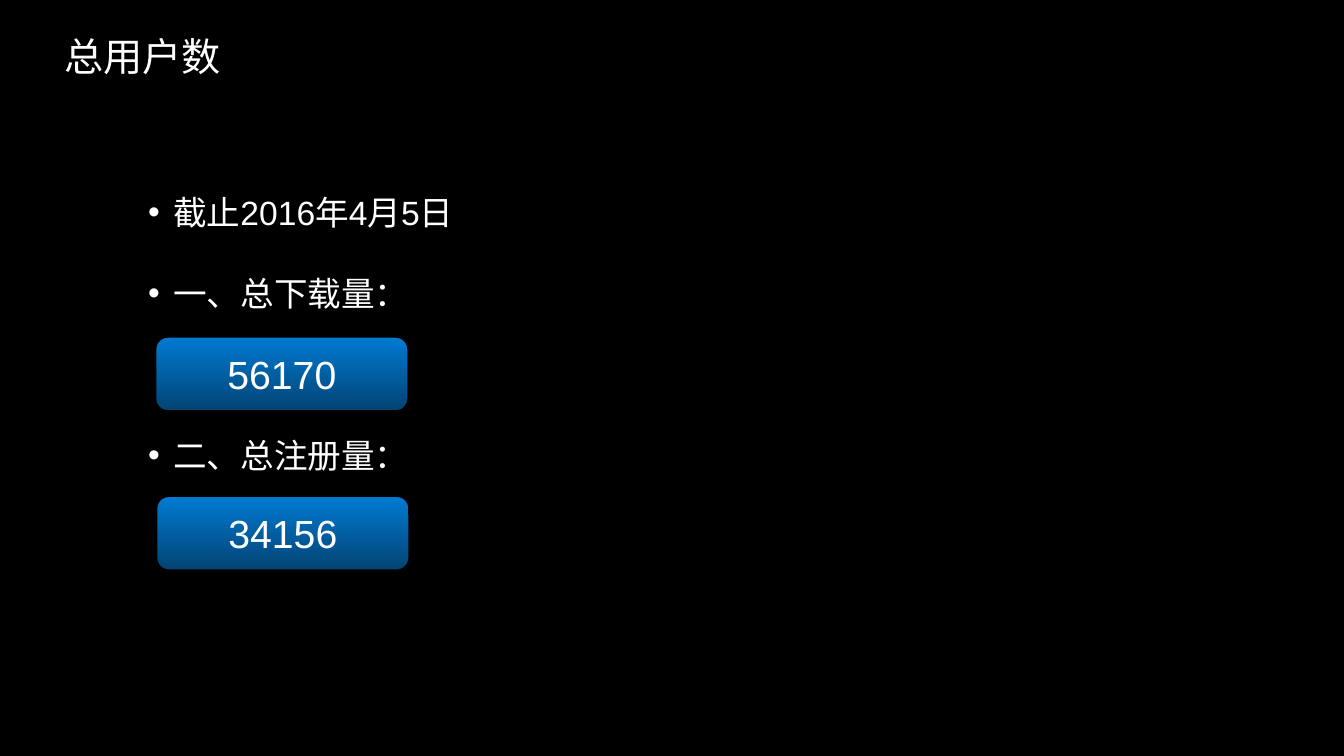
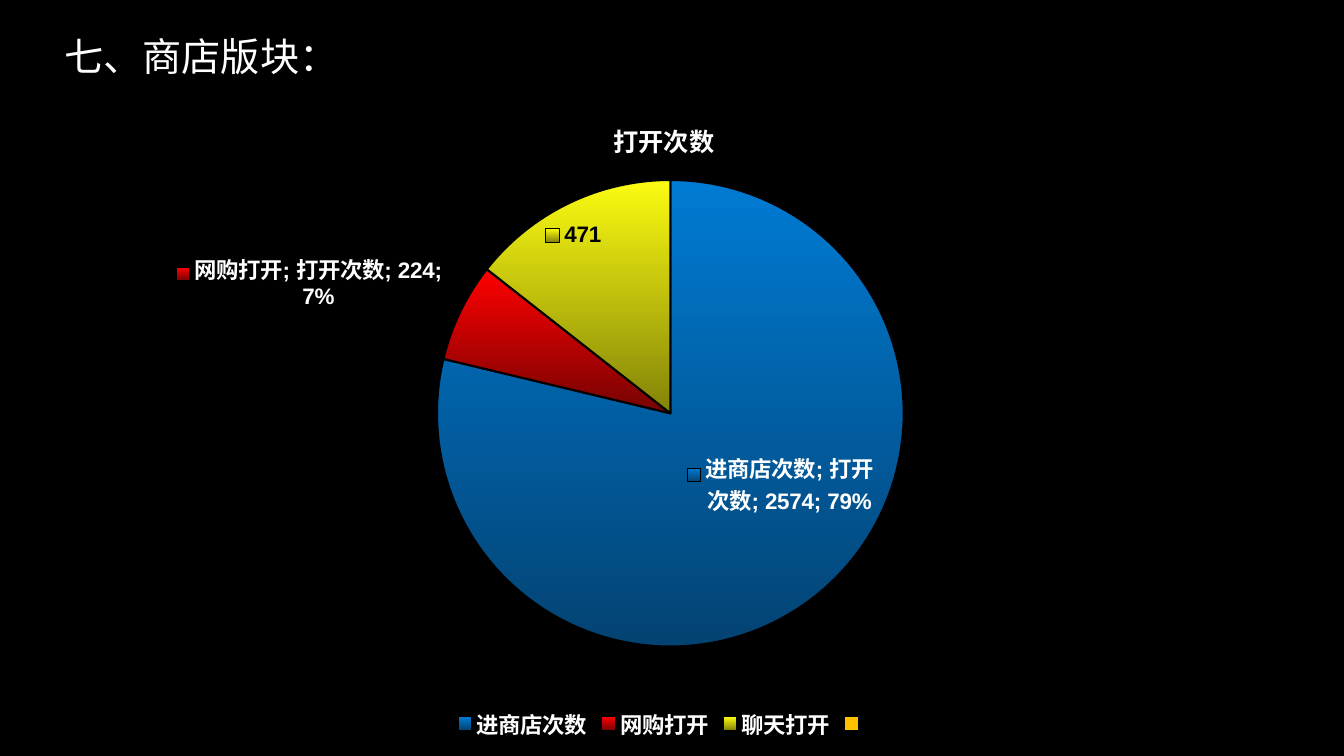
from lxml.etree import SubElement
from pptx import Presentation
from pptx.chart.data import CategoryChartData
from pptx.dml.color import RGBColor
from pptx.enum.chart import XL_CHART_TYPE, XL_LEGEND_POSITION
from pptx.enum.shapes import MSO_SHAPE
from pptx.enum.text import MSO_ANCHOR, PP_ALIGN
from pptx.oxml import parse_xml
from pptx.oxml.ns import nsdecls, qn
from pptx.util import Inches, Pt

BLACK, WHITE, AMBER = "000000", "FFFFFF", "FFC000"
BLUE = ("007BD3", "034373")
RED = ("FF0000", "760303")
YELLOW = ("FBFB11", "838309")


def rgb(value):
    return RGBColor.from_string(value)


def paint(fill, colors):
    if isinstance(colors, str):
        fill.solid()
        fill.fore_color.rgb = rgb(colors)
        return
    fill.gradient()
    fill.gradient_angle = 270
    for stop, color, position in zip(fill.gradient_stops, colors, (0, 1)):
        stop.color.rgb = rgb(color)
        stop.position = position


def outline(line):
    line.color.rgb = rgb(BLACK)
    line.width = Pt(1.5)


def layout_xml(x, y, w=None, h=None):
    target = '<c:layoutTarget val="inner"/>' if w else ""
    modes = '<c:xMode val="edge"/><c:yMode val="edge"/>' if w else ""
    size = f'<c:w val="{w}"/><c:h val="{h}"/>' if w else ""
    return (f'<c:layout {nsdecls("c")}><c:manualLayout>{target}{modes}'
            f'<c:x val="{x}"/><c:y val="{y}"/>{size}</c:manualLayout></c:layout>')


def label_style(color, text=""):
    props = (f'sz="1600" b="1"><a:solidFill><a:srgbClr val="{color}"/></a:solidFill>'
             '<a:latin typeface="Arial"/>')
    if text:
        return (f'<c:tx><c:rich><a:bodyPr/><a:p><a:r><a:rPr {props}</a:rPr>'
                f'<a:t>{text}</a:t></a:r></a:p></c:rich></c:tx>')
    return (f'<c:txPr><a:bodyPr/><a:p><a:pPr><a:defRPr {props}</a:defRPr></a:pPr>'
            '<a:endParaRPr lang="zh-CN"/></a:p></c:txPr>')


def labels_xml(offsets, custom):
    shown = "".join(f'<c:show{name} val="1"/>' for name in
                    ("LegendKey", "Val", "CatName", "SerName", "Percent"))
    tail = ('<c:dLblPos val="bestFit"/>' + shown
            + '<c:showBubbleSize val="0"/><c:separator>; </c:separator>')
    points = ""
    for idx in sorted({*offsets, *custom}):
        place = layout_xml(*offsets[idx]) if idx in offsets else ""
        style = label_style(BLACK, custom[idx]) if idx in custom else label_style(WHITE)
        points += f'<c:dLbl><c:idx val="{idx}"/>{place}{style}{tail}</c:dLbl>'
    return f'<c:dLbls {nsdecls("c", "a")}>{points}{label_style(WHITE)}{tail}</c:dLbls>'


class Deck:
    def __init__(self):
        self.prs = Presentation()
        self.prs.slide_width, self.prs.slide_height = Inches(13.33), Inches(7.5)

    def slide(self, title):
        self.s = self.prs.slides.add_slide(self.prs.slide_layouts[6])
        paint(self.s.background.fill, BLACK)
        tf = self.box(0.54, 0, 3.58, 1.17)
        tf.vertical_anchor = MSO_ANCHOR.MIDDLE
        p = tf.paragraphs[0]
        p.line_spacing = 0.9
        self.run(p, title, 28)

    def box(self, x, y, w, h):
        tf = self.s.shapes.add_textbox(Inches(x), Inches(y), Inches(w), Inches(h)).text_frame
        tf.word_wrap = True
        return tf

    def run(self, p, text, size):
        r = p.add_run()
        r.text = text
        r.font.name, r.font.size = "Arial", Pt(size)
        r.font.color.rgb = rgb(WHITE)

    def bullets(self, x, y, w, h, items, pitch):
        tf = self.box(x, y, w, h)
        for i, (text, skipped) in enumerate(items):
            p = tf.add_paragraph() if i else tf.paragraphs[0]
            pPr = p._p.get_or_add_pPr()
            pPr.set("marL", str(Inches(0.25)))
            pPr.set("indent", str(-Inches(0.25)))
            SubElement(pPr, qn("a:buFont")).set("typeface", "Arial")
            SubElement(pPr, qn("a:buChar")).set("char", "•")
            p.alignment = PP_ALIGN.JUSTIFY
            p.line_spacing = Pt(pitch)
            if skipped:
                p.space_before = Pt(pitch * skipped)
            self.run(p, text, 24)

    def figure(self, x, y, text):
        sp = self.s.shapes.add_shape(MSO_SHAPE.ROUNDED_RECTANGLE, Inches(x), Inches(y),
                                     Inches(2.51), Inches(0.74))
        sp.shadow.inherit = False
        paint(sp.fill, BLUE)
        outline(sp.line)
        tf = sp.text_frame
        tf.vertical_anchor = MSO_ANCHOR.MIDDLE
        p = tf.paragraphs[0]
        p.alignment = PP_ALIGN.CENTER
        self.run(p, text, 28)

    def pie(self, x, y, w, h, name, slices, plot_area, offsets, custom):
        data = CategoryChartData()
        data.categories = [category for category, _, _ in slices]
        data.add_series(name, [value for _, value, _ in slices])
        chart = self.s.shapes.add_chart(XL_CHART_TYPE.PIE, Inches(x), Inches(y),
                                        Inches(w), Inches(h), data).chart
        self.chart_font(chart.font, 9, False)
        p = chart.chart_title.text_frame.paragraphs[0]
        self.run(p, name, 18)
        p.runs[0].font.bold = True
        chart.chart_title.include_in_layout = True
        chart.has_legend = True
        chart.legend.position = XL_LEGEND_POSITION.BOTTOM
        chart.legend.include_in_layout = True
        self.chart_font(chart.legend.font, 16, True)
        plot = chart.plots[0]
        plot.vary_by_categories = True
        series = plot.series[0]
        for i, (_, _, colors) in enumerate(slices):
            fmt = series.points[i].format
            paint(fmt.fill, colors)
            outline(fmt.line)
        ser = series._element
        ser.find(qn("c:cat")).addprevious(parse_xml(labels_xml(offsets, custom)))
        area = chart._chartSpace.chart.plotArea
        for old in area.findall(qn("c:layout")):
            area.remove(old)
        area.insert(0, parse_xml(layout_xml(*plot_area)))

    def chart_font(self, font, size, bold):
        font.name, font.size, font.bold = "Arial", Pt(size), bold
        font.color.rgb = rgb(WHITE)


def main():
    deck = Deck()
    deck.slide("总用户数")
    deck.bullets(1.37, 1.85, 10.61, 4.65,
                 [("截止2016年4月5日", 0), ("一、总下载量：", 1), ("二、总注册量：", 3)], 28.9)
    deck.figure(1.54, 3.34, "56170")
    deck.figure(1.55, 4.92, "34156")

    deck.slide("七、商店版块：")
    slices = [("进商店次数", 2574, BLUE), ("网购打开", 224, RED),
              ("聊天打开", 471, YELLOW), ("", None, AMBER)]
    deck.pie(0.17, 0.95, 12.83, 6.43, "打开次数", slices, (0.32, 0.13, 0.37, 0.72),
             {1: (-0.01, 0)}, {2: "471"})
    deck.prs.save("out.pptx")


if __name__ == "__main__":
    main()
